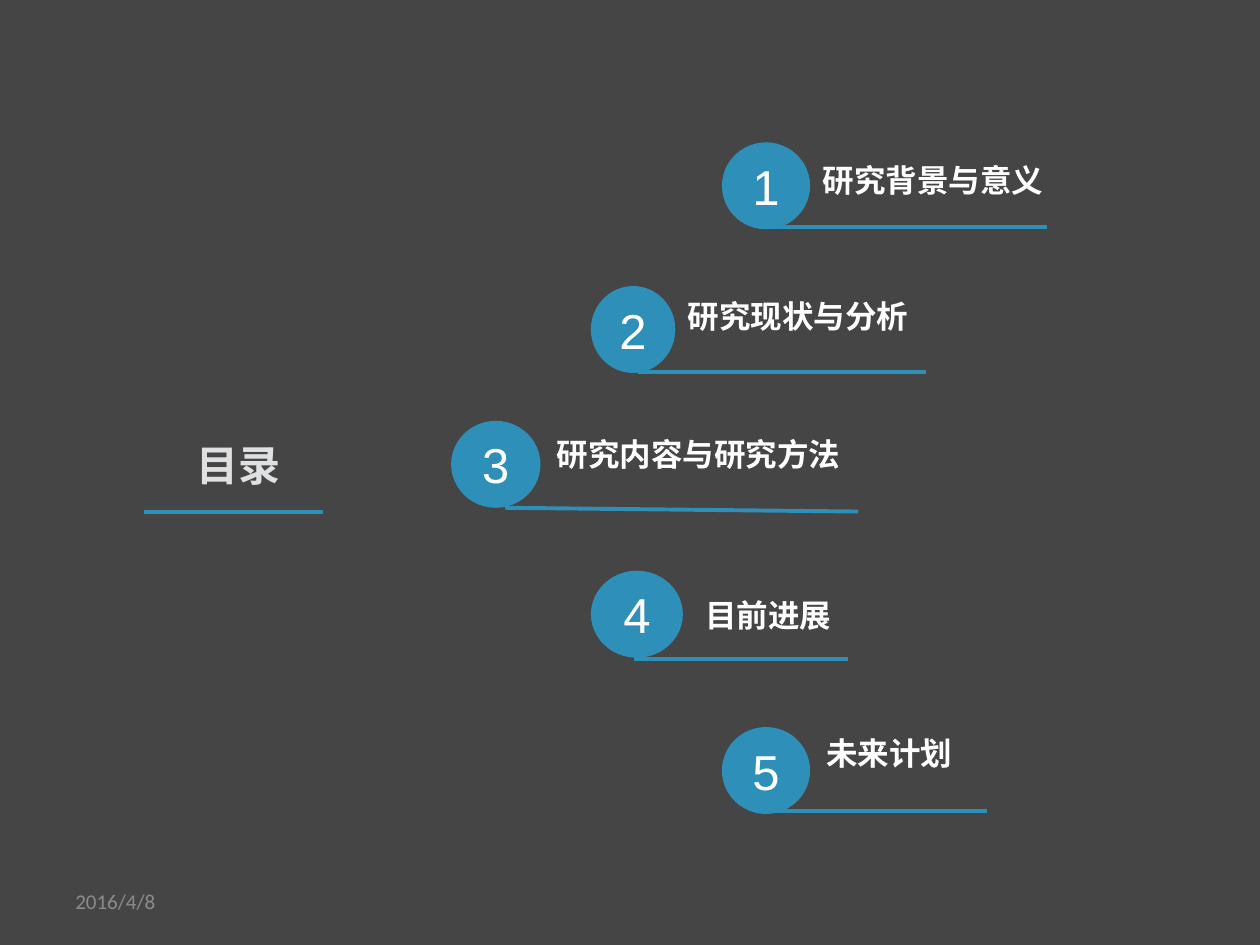
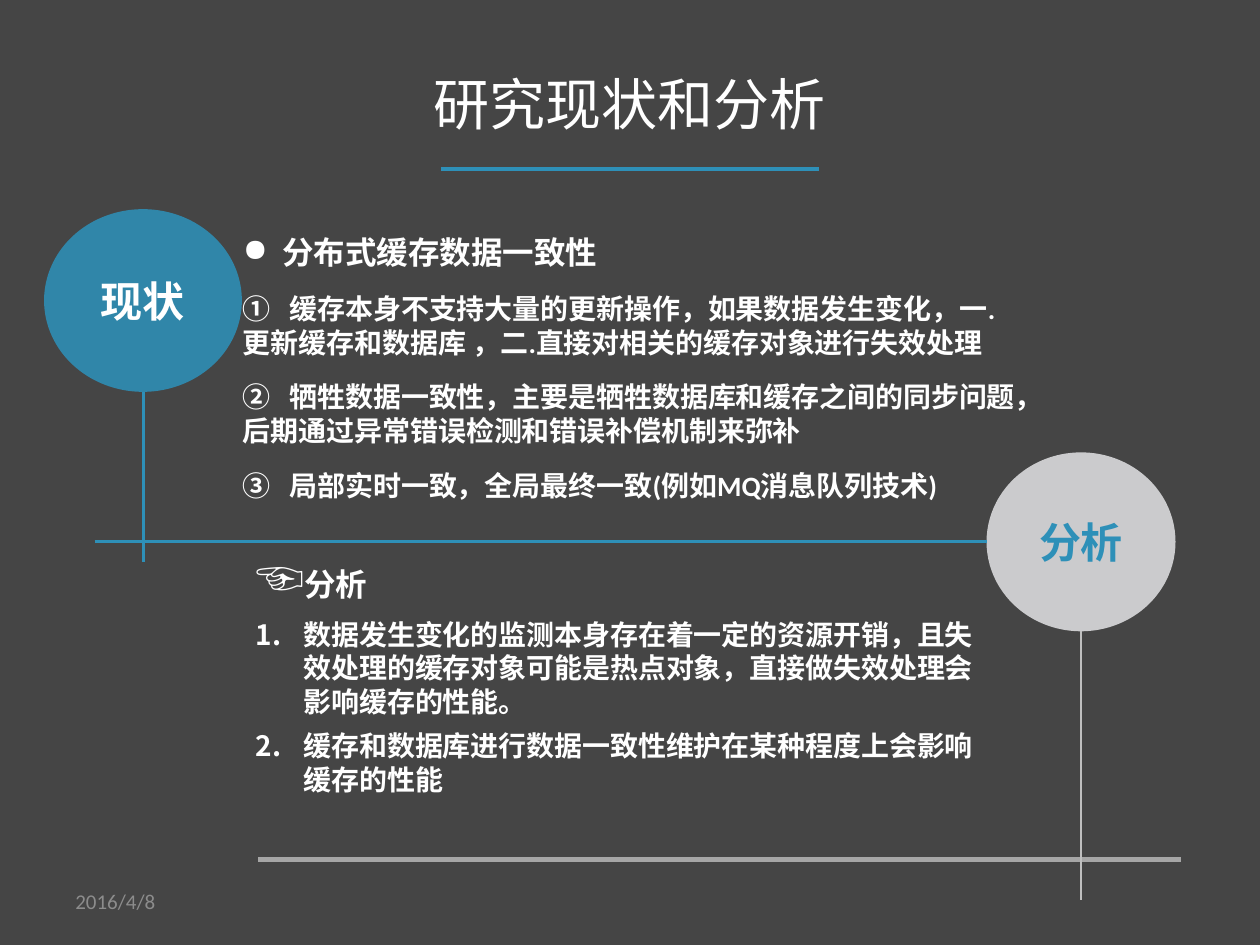
from dataclasses import dataclass

import lxml.etree
import pptx
import pptx.dml.color
import pptx.enum.shapes
import pptx.enum.text
import pptx.oxml.ns
import pptx.util

# Shared look; lengths are px at 100 to the inch
EMU_PER_PX = 9144
BACKDROP = pptx.dml.color.RGBColor(0x45, 0x45, 0x45)
BLUE = pptx.dml.color.RGBColor(0x2E, 0x90, 0xB8)
SILVER = pptx.dml.color.RGBColor(0xDF, 0xE0, 0xE2)
WHITE = pptx.dml.color.RGBColor(0xFF, 0xFF, 0xFF)
BASE_GREY = pptx.dml.color.RGBColor(0xA6, 0xA6, 0xA6)
STEM_GREY = pptx.dml.color.RGBColor(0xBF, 0xBF, 0xBF)
DATE_GREY = pptx.dml.color.RGBColor(0x8C, 0x8C, 0x8C)
CJK = "Noto Sans CJK SC"
LEFT = pptx.enum.text.PP_ALIGN.LEFT
CENTER = pptx.enum.text.PP_ALIGN.CENTER
TOP = pptx.enum.text.MSO_ANCHOR.TOP
MIDDLE = pptx.enum.text.MSO_ANCHOR.MIDDLE


@dataclass(frozen=True)
class Box:
    left: int
    top: int
    width: int
    height: int

    def emu(self) -> list:
        return [px(v) for v in (self.left, self.top, self.width, self.height)]


@dataclass(frozen=True)
class Line:
    x1: int
    y1: int
    x2: int
    y2: int
    color: pptx.dml.color.RGBColor = BLUE
    weight: float = 2.25


@dataclass(frozen=True)
class Chapter:
    name: str
    circle: Box
    label: Box
    underline: Line


@dataclass(frozen=True)
class Topic:
    name: str
    circle: Box
    fill: pptx.dml.color.RGBColor
    color: pptx.dml.color.RGBColor


CHAPTERS = [
    Chapter("研究背景与意义", Box(573, 113, 70, 69), Box(643, 123, 232, 40), Line(610, 180, 831, 180)),
    Chapter("研究现状与分析", Box(469, 227, 67, 69), Box(536, 231, 232, 40), Line(506, 295, 735, 295)),
    Chapter("研究内容与研究方法", Box(358, 334, 71, 69), Box(432, 340, 283, 40), Line(401, 403, 681, 406)),
    Chapter("目前进展", Box(469, 453, 73, 69), Box(550, 468, 232, 40), Line(503, 523, 673, 523)),
    Chapter("未来计划", Box(573, 577, 70, 69), Box(646, 578, 232, 40), Line(610, 644, 783, 644)),
]
TOPICS = [
    Topic("分析", Box(783, 359, 150, 142), SILVER, BLUE),
    Topic("现状", Box(35, 166, 157, 145), BLUE, WHITE),
]
TOPIC_LINES = [
    Line(350, 134, 650, 134),
    Line(75, 430, 783, 430, BLUE, 1.75),
    Line(205, 682, 937, 682, BASE_GREY, 2.75),
    Line(858, 501, 858, 714, STEM_GREY, 1.25),
    Line(114, 311, 114, 446, BLUE, 1.75),
]
STATUS_POINTS = [
    "①\t缓存本身不支持大量的更新操作，如果数据发生变化，一.更新缓存和数据库 ，二.直接对相关的缓存对象进行失效处理",
    "②\t牺牲数据一致性，主要是牺牲数据库和缓存之间的同步问题，后期通过异常错误检测和错误补偿机制来弥补",
    "③\t局部实时一致，全局最终一致(例如MQ消息队列技术)",
]
ANALYSIS_POINTS = [
    "数据发生变化的监测本身存在着一定的资源开销，且失效处理的缓存对象可能是热点对象，直接做失效处理会影响缓存的性能。",
    "缓存和数据库进行数据一致性维护在某种程度上会影响缓存的性能",
]


def px(length: int) -> pptx.util.Emu:
    return pptx.util.Emu(length * EMU_PER_PX)


def child(parent, tag: str, **attributes: str):
    return lxml.etree.SubElement(parent, pptx.oxml.ns.qn(tag), attributes)


def write(paragraph, text: str, *, size: float, font: str = "Calibri", color=WHITE,
          bold: bool = False, align=LEFT, before: float = 0) -> None:
    paragraph.alignment = align
    paragraph.space_before = pptx.util.Pt(before)
    run = paragraph.add_run()
    run.text = text
    run.font.size = pptx.util.Pt(size)
    run.font.bold = bold
    run.font.color.rgb = color
    run.font.name = font
    child(run._r.get_or_add_rPr(), "a:ea", typeface=CJK)


def hang(paragraph, indent: int, tag: str, **bullet: str) -> None:
    properties = paragraph._p.get_or_add_pPr()
    properties.set("marL", str(px(indent)))
    properties.set("indent", str(-px(indent)))
    child(properties, tag, **bullet)


def set_tab(paragraph, position: int) -> None:
    stops = child(paragraph._p.get_or_add_pPr(), "a:tabLst")
    child(stops, "a:tab", pos=str(px(position)), algn="l")


def add_text(slide, box: Box, anchor=TOP):
    frame = slide.shapes.add_textbox(*box.emu()).text_frame
    frame.word_wrap = True
    frame.vertical_anchor = anchor
    return frame


def place_title(slide, box: Box, text: str, **style) -> None:
    title = slide.shapes.title
    title.left, title.top, title.width, title.height = box.emu()
    title.text_frame.auto_size = pptx.enum.text.MSO_AUTO_SIZE.NONE
    title.text_frame.vertical_anchor = TOP
    write(title.text_frame.paragraphs[0], text, **style)


def add_circle(slide, box: Box, text: str, fill, opacity: int = 100, **style) -> None:
    circle = slide.shapes.add_shape(pptx.enum.shapes.MSO_SHAPE.OVAL, *box.emu())
    circle.shadow.inherit = False
    circle.fill.solid()
    circle.fill.fore_color.rgb = fill
    if opacity < 100:
        tint = circle._element.spPr.find(".//" + pptx.oxml.ns.qn("a:srgbClr"))
        child(tint, "a:alpha", val=str(opacity * 1000))
    circle.line.fill.background()
    circle.text_frame.vertical_anchor = MIDDLE
    write(circle.text_frame.paragraphs[0], text, font="Arial", align=CENTER, **style)


def add_line(slide, line: Line) -> None:
    connector = slide.shapes.add_connector(
        pptx.enum.shapes.MSO_CONNECTOR.STRAIGHT,
        px(line.x1), px(line.y1), px(line.x2), px(line.y2))
    connector.line.color.rgb = line.color
    connector.line.width = pptx.util.Pt(line.weight)
    child(connector._element.spPr, "a:effectLst")


def new_slide(deck):
    slide = deck.slides.add_slide(deck.slide_layouts[5])
    slide.background.fill.solid()
    slide.background.fill.fore_color.rgb = BACKDROP
    date = add_text(slide, Box(50, 695, 233, 40), MIDDLE)
    write(date.paragraphs[0], "2016/4/8", size=12, color=DATE_GREY)
    return slide


def build_contents(deck) -> None:
    slide = new_slide(deck)
    place_title(slide, Box(146, 344, 110, 50), "目录", size=24, font="Arial", color=SILVER, bold=True)
    add_line(slide, Line(114, 406, 256, 406))
    for number, chapter in enumerate(CHAPTERS, start=1):
        add_circle(slide, chapter.circle, str(number), BLUE, size=28)
        add_line(slide, chapter.underline)
        label = add_text(slide, chapter.label)
        write(label.paragraphs[0], chapter.name, size=18, font=CJK, bold=True)


def build_status(deck) -> None:
    slide = new_slide(deck)
    place_title(slide, Box(0, 50, 1000, 64), "研究现状和分析", size=32, font=CJK, align=CENTER)
    for topic in TOPICS:
        add_circle(slide, topic.circle, topic.name, topic.fill, 87, size=24, color=topic.color, bold=True)
    for line in TOPIC_LINES:
        add_line(slide, line)

    # Current state
    status = add_text(slide, Box(183, 180, 638, 226))
    heading = status.paragraphs[0]
    write(heading, "分布式缓存数据一致性", size=18, bold=True)
    hang(heading, 31, "a:buChar", char="●")
    for text in STATUS_POINTS:
        point = status.add_paragraph()
        write(point, text, size=16, bold=True, before=12)
        set_tab(point, 37)

    # Analysis
    analysis = add_text(slide, Box(193, 430, 602, 236))
    heading = analysis.paragraphs[0]
    write(heading, "☜", size=28)
    write(heading, "分析", size=18, font="Times New Roman", bold=True)
    for text in ANALYSIS_POINTS:
        point = analysis.add_paragraph()
        write(point, text, size=16, font="Times New Roman", bold=True, before=6)
        hang(point, 38, "a:buAutoNum", type="arabicPeriod")


def main() -> None:
    deck = pptx.Presentation()
    deck.slide_width, deck.slide_height = px(1000), px(750)
    build_contents(deck)
    build_status(deck)
    deck.save("out.pptx")


if __name__ == "__main__":
    main()
